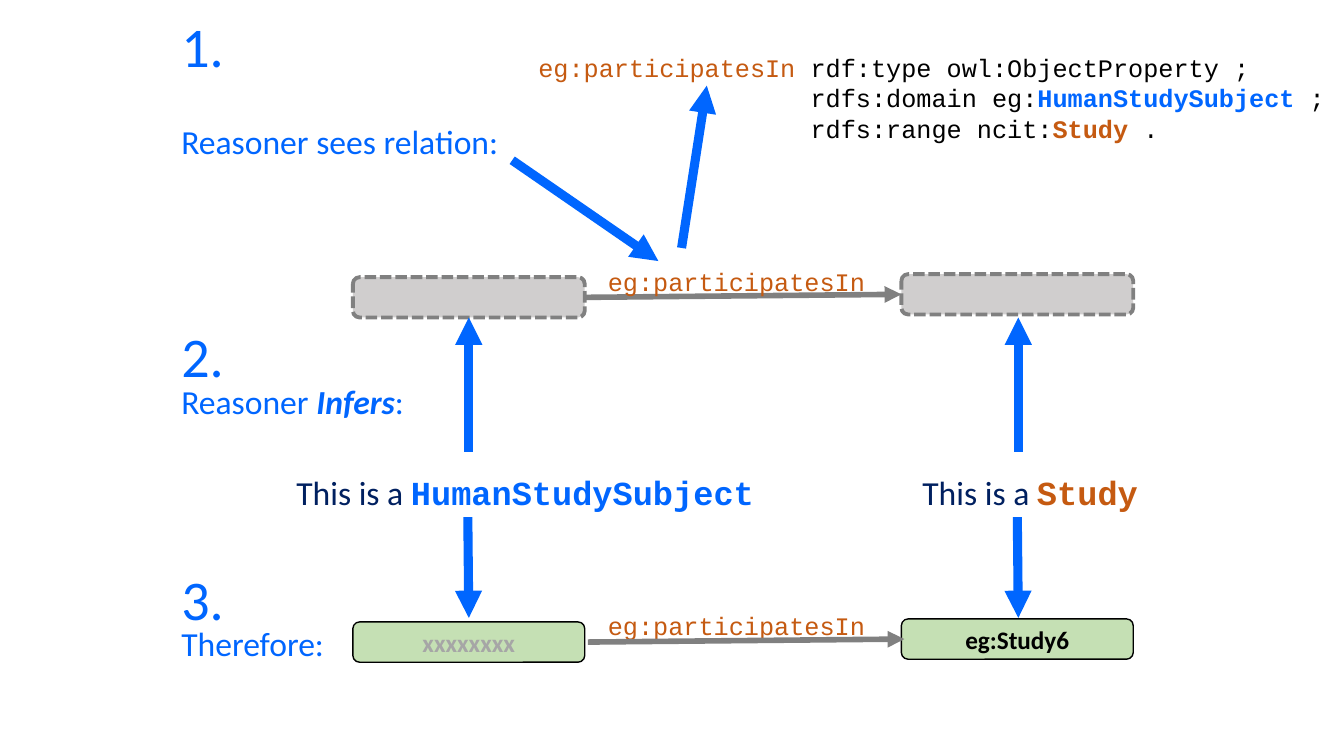
import pptx
import pptx.dml.color
import pptx.enum.dml
import pptx.enum.shapes
import pptx.enum.text
import pptx.oxml
import pptx.oxml.ns
import pptx.util

RGBColor = pptx.dml.color.RGBColor
BLUE = RGBColor(0x00, 0x66, 0xFF)
NAVY = RGBColor(0x00, 0x20, 0x60)
ORANGE = RGBColor(0xC5, 0x5A, 0x11)
BLACK = RGBColor(0x00, 0x00, 0x00)
GRAY = RGBColor(0x80, 0x80, 0x80)
PALE_GRAY = RGBColor(0xD0, 0xCE, 0xCE)
TEXT_GRAY = RGBColor(0xA6, 0xA6, 0xA6)
GREEN = RGBColor(0xC5, 0xE0, 0xB4)

EMU_PER_PX = 9144
SANS = "Calibri"
MONO = "Courier New"


def px(n):
    return pptx.util.Emu(n * EMU_PER_PX)


class Slide:
    def __init__(self, prs):
        self.s = prs.slides.add_slide(prs.slide_layouts[6])

    def run(self, p, text, color, size=24, font=SANS, bold=False, italic=False):
        r = p.add_run()
        r.text = text
        r.font.name = font
        r.font.size = pptx.util.Pt(size)
        r.font.color.rgb = color
        r.font.bold = bold
        r.font.italic = italic

    def text(self, x, y, w, h, *lines, wrap=False):
        sp = self.s.shapes.add_textbox(px(x), px(y), px(w), px(h))
        tf = sp.text_frame
        tf.word_wrap = wrap
        for i, runs in enumerate(lines):
            p = tf.add_paragraph() if i else tf.paragraphs[0]
            for text, color, style in runs:
                self.run(p, text, color, **style)

    def node(self, x, y, fill, line, width, dashed=False, label=None, color=BLACK):
        sp = self.s.shapes.add_shape(
            pptx.enum.shapes.MSO_SHAPE.ROUNDED_RECTANGLE,
            px(x), px(y), px(230), px(40))
        sp.shadow.inherit = False
        sp.fill.solid()
        sp.fill.fore_color.rgb = fill
        sp.line.color.rgb = line
        sp.line.width = pptx.util.Pt(width)
        if dashed:
            sp.line.dash_style = pptx.enum.dml.MSO_LINE.SQUARE_DOT
        if label:
            tf = sp.text_frame
            tf.vertical_anchor = pptx.enum.text.MSO_ANCHOR.MIDDLE
            p = tf.paragraphs[0]
            p.alignment = pptx.enum.text.PP_ALIGN.CENTER
            self.run(p, label, color, size=18, bold=True)

    def arrow(self, x1, y1, x2, y2, color=BLUE, width=6.5):
        sp = self.s.shapes.add_connector(
            pptx.enum.shapes.MSO_CONNECTOR.STRAIGHT,
            px(x1), px(y1), px(x2), px(y2))
        sp.line.color.rgb = color
        sp.line.width = pptx.util.Pt(width)
        qn = pptx.oxml.ns.qn
        ln = sp.line._get_or_add_ln()
        ln.append(ln.makeelement(qn("a:tailEnd"), {"type": "triangle"}))
        ln.getparent().append(ln.makeelement(qn("a:effectLst"), {}))

    def relation(self, x, y):
        self.arrow(x, y, x + 314, y - 3, GRAY, 4)

    def relation_label(self, y):
        self.text(593, y, 314, 40, [("eg:participatesIn", ORANGE, CODE)], wrap=True)


CODE = {"size": 18, "font": MONO}
CODE_BOLD = {**CODE, "bold": True}
CLASS_NAME = {"font": MONO, "bold": True}
PLAIN = {}


def main():
    prs = pptx.Presentation()
    prs.slide_width = px(1333)
    prs.slide_height = px(750)
    slide = Slide(prs)

    for x, y in ((350, 275), (894, 272)):
        slide.node(x, y, PALE_GRAY, GRAY, 2.75, dashed=True)
    slide.relation(580, 295)
    slide.relation_label(259)

    indent = " " * 18
    slide.text(
        524, 47, 819, 131,
        [("eg:participatesIn ", ORANGE, CODE),
         ("rdf:type owl:ObjectProperty ;", BLACK, CODE)],
        [(indent + "rdfs:domain eg:", BLACK, CODE),
         ("HumanStudySubject", BLUE, CODE_BOLD),
         (" ;", BLACK, CODE)],
        [(indent + "rdfs:range ncit:", BLACK, CODE),
         ("Study", ORANGE, CODE_BOLD),
         (" .", BLACK, CODE)],
        wrap=True)

    slide.arrow(508, 159, 653, 259)
    slide.arrow(676, 246, 701, 85)

    for x, y, label, color in ((350, 617, "xxxxxxxx", TEXT_GRAY),
                               (894, 614, "eg:Study6", BLACK)):
        slide.node(x, y, GREEN, BLACK, 1, label=label, color=color)
    slide.relation_label(601)
    slide.relation(583, 637)

    for center, x, w, name, color in ((465, 284, 478, "HumanStudySubject", BLUE),
                                      (1010, 905, 236, "Study", ORANGE)):
        slide.arrow(center, 448, center, 315)
        slide.text(x, 463, w, 50,
                   [("This is a ", NAVY, PLAIN), (name, color, CLASS_NAME)])
        slide.arrow(center - 1, 513, center, 613)

    for number, y in (("1.", 7), ("2.", 314), ("3.", 555)):
        slide.text(170, y, 72, 77, [(number, BLUE, {"size": 40})], wrap=True)
    slide.text(170, 115, 338, 50, [("Reasoner sees relation:", BLUE, PLAIN)])
    slide.text(170, 373, 241, 50,
               [("Reasoner ", BLUE, PLAIN),
                ("Infers", BLUE, {"bold": True, "italic": True}),
                (":", BLUE, PLAIN)])
    slide.text(170, 613, 163, 50, [("Therefore:", BLUE, PLAIN)])

    prs.save("out.pptx")


if __name__ == "__main__":
    main()
